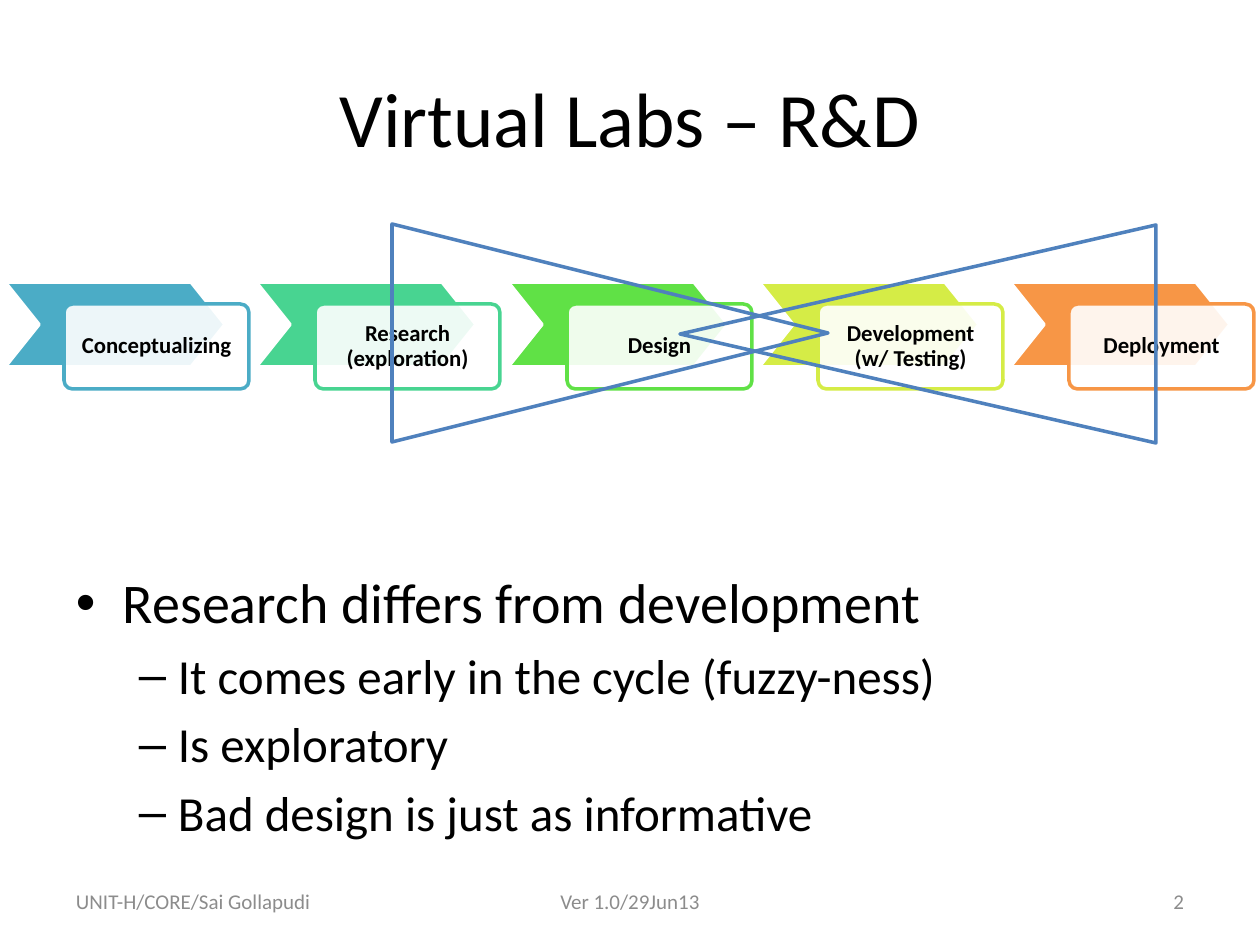
import dataclasses

import lxml.etree
import pptx
import pptx.dml.color
import pptx.enum.shapes
import pptx.enum.text
import pptx.oxml.ns
import pptx.util

SCALE = 914400 // 126
SHAPE = pptx.enum.shapes.MSO_SHAPE
ALIGN = pptx.enum.text.PP_ALIGN
ANCHOR = pptx.enum.text.MSO_ANCHOR


@dataclasses.dataclass(frozen=True)
class Theme:
    """Fonts, colours and type sizes of the slide."""
    font: str = "Calibri"
    ink: str = "000000"
    paper: str = "FFFFFF"
    muted: str = "8C8C8C"
    funnel: str = "4F81BD"
    title: int = 44
    levels: tuple = (32, 28)
    stage: int = 13
    footer: int = 12
    outline: int = 2


def px(*lengths):
    """Turn pixels into a list of EMU lengths."""
    return [pptx.util.Emu(round(length * SCALE)) for length in lengths]


def rgb(color):
    """Return a colour object for a hex string."""
    return pptx.dml.color.RGBColor.from_string(color)


def apply(target, values):
    """Set each attribute of a format dict on the target."""
    for name, value in values.items():
        setattr(target, name, value)


def child(parent, tag, **attributes):
    """Add a DrawingML element under the parent."""
    return lxml.etree.SubElement(parent, pptx.oxml.ns.qn(tag), **attributes)


class Deck:
    """Holds the theme and the current slide and draws its elements."""

    def __init__(self, theme):
        """Start a presentation with one title-only slide."""
        self.theme = theme
        self.file = pptx.Presentation()
        apply(self.file, dict(zip(("slide_width", "slide_height"), px(1260, 945))))
        self.slide = self.file.slides.add_slide(self.file.slide_layouts[5])

    def style(self, font, size, color=None, bold=False):
        """Format a font."""
        apply(font, {"name": self.theme.font, "size": pptx.util.Pt(size), "bold": bold})
        font.color.rgb = rgb(color or self.theme.ink)

    def frame(self, frame, anchor, side=13, edge=6):
        """Set wrapping, anchor and insets of a text frame."""
        side, edge = px(side, edge)
        apply(frame, {"word_wrap": True, "vertical_anchor": anchor,
                      "margin_left": side, "margin_right": side,
                      "margin_top": edge, "margin_bottom": edge})

    def textbox(self, box, anchor):
        """Add an empty text box and return its frame."""
        frame = self.slide.shapes.add_textbox(*px(*box)).text_frame
        self.frame(frame, anchor)
        return frame

    def title(self, box, text):
        """Place and format the title placeholder."""
        heading = self.slide.shapes.title
        apply(heading, dict(zip(("left", "top", "width", "height"), px(*box))))
        self.frame(heading.text_frame, ANCHOR.MIDDLE)
        paragraph = heading.text_frame.paragraphs[0]
        apply(paragraph, {"text": text, "alignment": ALIGN.CENTER})
        self.style(paragraph.runs[0].font, self.theme.title)

    def shape(self, kind, box, line, fill=None, alpha=None, adjust=None, turn=0):
        """Add a preset shape with an outline and an optional fill."""
        item = self.slide.shapes.add_shape(kind, *px(*box))
        item.shadow.inherit = False
        item.rotation = turn
        if adjust is not None:
            item.adjustments[0] = adjust
        item.line.color.rgb = rgb(line)
        item.line.width = pptx.util.Pt(self.theme.outline)
        if fill is None:
            item.fill.background()
        else:
            item.fill.solid()
            item.fill.fore_color.rgb = rgb(fill)
        if alpha:
            color = item.fill._xPr.find(".//" + pptx.oxml.ns.qn("a:srgbClr"))
            child(color, "a:alpha", val=str(alpha * 1000))
        return item

    def stage(self, left, label, color):
        """Draw one process stage: a chevron with a label card over it."""
        paper = self.theme.paper
        self.shape(SHAPE.CHEVRON, (left, 282, 220, 85), paper, color, adjust=0.4)
        card = self.shape(SHAPE.ROUNDED_RECTANGLE, (left + 59, 304, 185, 85),
                          color, paper, alpha=90, adjust=0.1)
        self.frame(card.text_frame, ANCHOR.MIDDLE, edge=13)
        paragraph = card.text_frame.paragraphs[0]
        apply(paragraph, {"text": label, "alignment": ALIGN.CENTER, "line_spacing": 0.9})
        for run in paragraph.runs:
            self.style(run.font, self.theme.stage, bold=True)

    def bullets(self, box, items):
        """Write a two-level bulleted list."""
        frame = self.textbox(box, ANCHOR.TOP)
        markers = (("•", 47, 47), ("–", 102, 39))
        for index, (level, text) in enumerate(items):
            paragraph = frame.add_paragraph() if index else frame.paragraphs[0]
            size = self.theme.levels[level]
            apply(paragraph, {"text": text, "level": level,
                              "space_before": pptx.util.Pt(size * 0.2)})
            self.style(paragraph.runs[0].font, size)
            mark, margin, hang = markers[level]
            margin, hang = px(margin, hang)
            properties = paragraph._p.get_or_add_pPr()
            properties.set("marL", str(margin))
            properties.set("indent", str(-hang))
            child(properties, "a:buFont", typeface="Arial")
            child(properties, "a:buChar", char=mark)

    def footer(self, left, width, text, alignment):
        """Write one part of the footer line."""
        paragraph = self.textbox((left, 876, width, 50), ANCHOR.MIDDLE).paragraphs[0]
        apply(paragraph, {"text": text, "alignment": alignment})
        self.style(paragraph.runs[0].font, self.theme.footer, self.theme.muted)


STAGES = (
    ("Conceptualizing", "4BACC6"),
    ("Research\n(exploration)", "48D491"),
    ("Design", "60E146"),
    ("Development\n(w/ Testing)", "D5EC46"),
    ("Deployment", "F79646"),
)
POINTS = (
    (0, "Research differs from development"),
    (1, "It comes early in the cycle (fuzzy-ness)"),
    (1, "Is exploratory"),
    (1, "Bad design is just as informative"),
)
FUNNELS = (((501, 115, 218, 436), 90), ((809, 96, 218, 476), 270))
FOOTERS = (
    (63, 294, "UNIT-H/CORE/Sai Gollapudi", ALIGN.LEFT),
    (430, 400, "Ver 1.0/29Jun13", ALIGN.CENTER),
    (903, 294, "2", ALIGN.RIGHT),
)


def main():
    """Build and save the slide."""
    theme = Theme()
    deck = Deck(theme)
    deck.title((63, 38, 1134, 157), "Virtual Labs – R&D")
    for index, (label, color) in enumerate(STAGES):
        deck.stage(round(5 + index * 251.25), label, color)
    deck.bullets((63, 562, 1134, 282), POINTS)
    for box, turn in FUNNELS:
        deck.shape(SHAPE.ISOSCELES_TRIANGLE, box, theme.funnel, turn=turn)
    for part in FOOTERS:
        deck.footer(*part)
    deck.file.save("out.pptx")


main()
